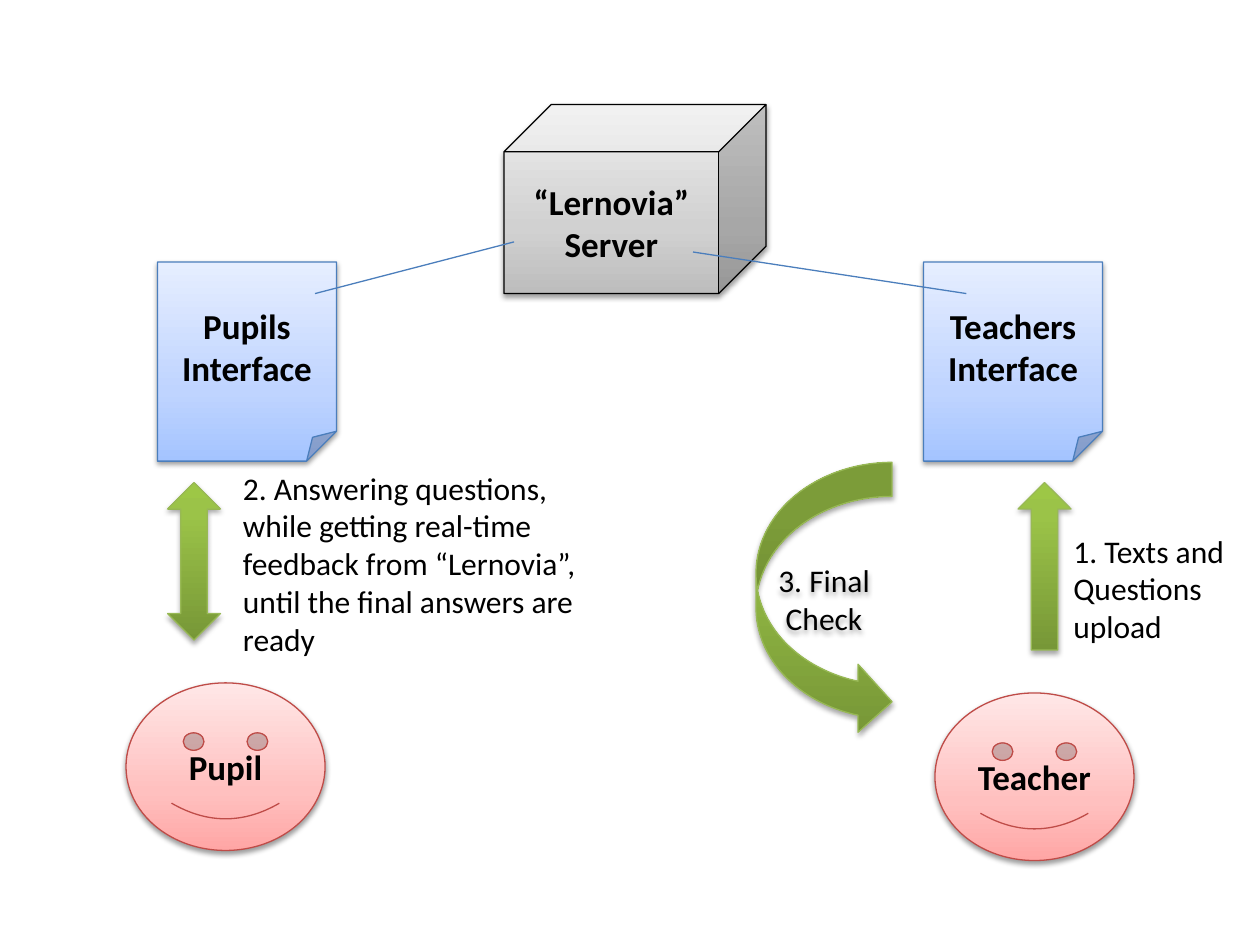
from dataclasses import dataclass

from lxml.etree import SubElement
from pptx import Presentation
from pptx.dml.color import RGBColor
from pptx.enum.shapes import MSO_CONNECTOR as Connector, MSO_SHAPE as Preset
from pptx.enum.text import MSO_ANCHOR as Anchor, PP_ALIGN as Align
from pptx.oxml.ns import qn
from pptx.util import Inches, Pt


@dataclass(frozen=True)
class Style:
    stops: tuple  # (percent, colour), from bottom to top
    line: str
    shadow: tuple = (38, 1.6)  # opacity percent, distance in points


class Theme:
    font = "Calibri"
    text = "000000"
    label_size = 20
    note_size = 18
    line_width = 0.75
    shadow_blur = 3.1
    link = "4B7EBC"
    server = Style(((0, "BDBDBD"), (35, "D1D1D1"), (100, "EEEEEE")), "000000")
    interface = Style(((0, "A4C4FF"), (35, "BFD4FF"), (100, "E6EEFF")), link)
    person = Style(((0, "FFA6A5"), (35, "FFC0BF"), (100, "FFE7E7")), "BF4C48")
    arrow = Style(((0, "779737"), (80, "9BC348"), (100, "9DC746")), "98B955", (35, 1.8))


def inches(*lengths):
    return [Inches(length) for length in lengths]


def add_colour(parent, colour):
    return SubElement(parent, qn("a:srgbClr"), val=colour)


def set_gradient(shape, stops):
    shape.fill.gradient()
    shape.fill.gradient_angle = 90
    stop_list = shape._element.spPr.find(".//" + qn("a:gsLst"))
    for stop in list(stop_list):
        stop_list.remove(stop)
    for percent, colour in stops:
        add_colour(SubElement(stop_list, qn("a:gs"), pos=str(percent * 1000)), colour)


def set_shadow(shape, opacity, distance):
    shape.shadow.inherit = False
    effects = shape._element.spPr.find(qn("a:effectLst"))
    shadow = SubElement(effects, qn("a:outerShdw"), blurRad=str(Pt(Theme.shadow_blur)),
                        dist=str(Pt(distance)), dir="5400000", rotWithShape="0")
    SubElement(add_colour(shadow, Theme.text), qn("a:alpha"), val=str(opacity * 1000))


def set_line(item, colour):
    item.line.color.rgb = RGBColor.from_string(colour)
    item.line.width = Pt(Theme.line_width)


def write(box, text, size, bold=False, align=Align.LEFT):
    frame = box.text_frame
    frame.word_wrap = True
    frame.text = text
    para = frame.paragraphs[0]
    para.alignment = align
    font = para.runs[0].font
    font.name, font.size, font.bold = Theme.font, Pt(size), bold
    font.color.rgb = RGBColor.from_string(Theme.text)


def add_figure(slide, preset, place, style, text="", size=Theme.label_size, bold=True):
    shape = slide.shapes.add_shape(preset, *inches(*place))
    set_gradient(shape, style.stops)
    set_line(shape, style.line)
    set_shadow(shape, *style.shadow)
    if text:
        shape.text_frame.vertical_anchor = Anchor.MIDDLE
        write(shape, text, size, bold, Align.CENTER)


def add_link(slide, start, end):
    link = slide.shapes.add_connector(Connector.STRAIGHT, *inches(*start, *end))
    set_line(link, Theme.link)
    SubElement(link._element.spPr, qn("a:effectLst"))


def add_note(slide, place, text):
    write(slide.shapes.add_textbox(*inches(*place)), text, Theme.note_size)


def main():
    deck = Presentation()
    deck.slide_width, deck.slide_height = inches(10, 7.5)
    slide = deck.slides.add_slide(deck.slide_layouts[6])

    # Server and the two interfaces
    add_figure(slide, Preset.CUBE, (4, 0.83, 2.08, 1.5), Theme.server, "“Lernovia” Server")
    for left, name in ((1.25, "Pupils Interface"), (7.33, "Teachers Interface")):
        add_figure(slide, Preset.FOLDED_CORNER, (left, 2.08, 1.42, 1.58), Theme.interface, name)

    # Links from the server
    add_link(slide, (4.08, 1.92), (2.5, 2.33))
    add_link(slide, (5.5, 2), (7.67, 2.33))

    # People
    for left, top, name in ((1, 5.42, "Pupil"), (7.42, 5.5, "Teacher")):
        add_figure(slide, Preset.SMILEY_FACE, (left, top, 1.58, 1.33), Theme.person, name)

    # Steps: arrows with their notes
    add_figure(slide, Preset.CURVED_RIGHT_ARROW, (6, 3.67, 1.08, 2.17), Theme.arrow,
               "3. Final Check", Theme.note_size, False)
    add_figure(slide, Preset.UP_ARROW, (8.08, 3.83, 0.42, 1.33), Theme.arrow)
    add_note(slide, (8.42, 4.17, 1.75, 1.01), "1. Texts and Questions upload")
    add_figure(slide, Preset.UP_DOWN_ARROW, (1.33, 3.83, 0.42, 1.25), Theme.arrow)
    add_note(slide, (1.83, 3.67, 3.08, 1.62),
             "2. Answering questions, while getting real-time feedback from "
             "“Lernovia”, until the final answers are ready")

    deck.save("out.pptx")


if __name__ == "__main__":
    main()
